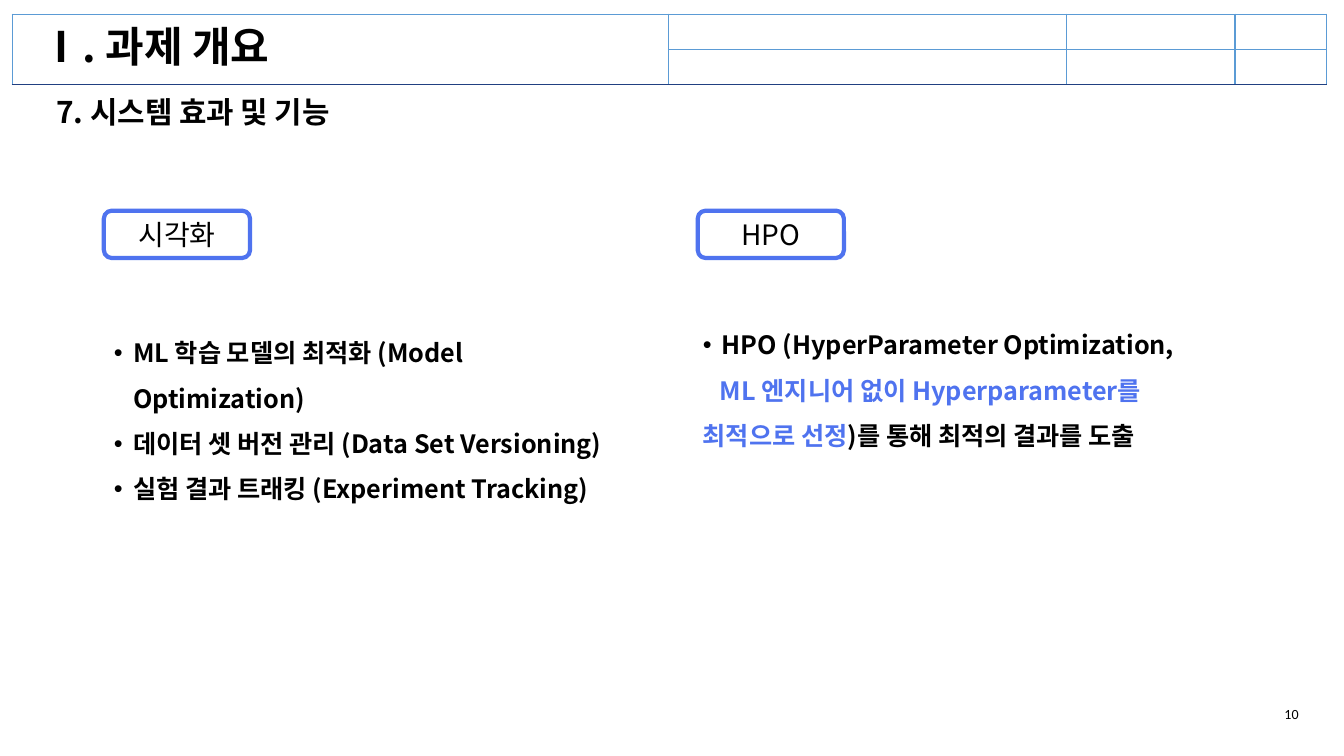
import pptx
import pptx.util
import pptx.dml.color
import pptx.enum.shapes
import pptx.enum.text
import pptx.oxml
import pptx.oxml.ns
import lxml.etree

Inches = pptx.util.Inches
Pt = pptx.util.Pt
PP = pptx.enum.text.PP_ALIGN
ANCHOR = pptx.enum.text.MSO_ANCHOR
qn = pptx.oxml.ns.qn
sub = lxml.etree.SubElement
SANS = "Noto Sans CJK KR"
BLACK, BLUE, WHITE = "000000", "4F73EF", "FFFFFF"


def color(code):
    return pptx.dml.color.RGBColor.from_string(code)


def write(para, text, size, bold=False, code=BLACK, face=SANS):
    run = para.add_run()
    run.text = text
    font = run.font
    font.size, font.bold, font.name = Pt(size), bold, face
    font.color.rgb = color(code)
    sub(font._element, qn("a:ea"), typeface=face)


deck = pptx.Presentation()
deck.slide_width, deck.slide_height = Inches(13.33), Inches(7.5)
slide = deck.slides.add_slide(deck.slide_layouts[3])
shapes = slide.shapes
title, left, right = slide.placeholders

frame = shapes.add_table(2, 4, Inches(0.12), Inches(0.14), Inches(13.04), Inches(0.7))
grid = frame.table
grid.first_row = grid.horz_banding = False
for col, width in zip(grid.columns, (6.51, 3.95, 1.67, 0.91)):
    col.width = Inches(width)
for row in grid.rows:
    row.height = Inches(0.35)
grid.cell(0, 0).merge(grid.cell(1, 0))
for r in range(2):
    for c in range(4):
        cell = grid.cell(r, c)
        cell.margin_top = cell.margin_bottom = 0
        props = cell._tc.get_or_add_tcPr()
        for side in ("lnL", "lnR", "lnT", "lnB"):
            base = side == "lnB" and (r == 1 or c == 0)
            line = sub(props, qn("a:" + side), w=str(Pt(1)))
            fill = sub(line, qn("a:solidFill"))
            sub(fill, qn("a:srgbClr"), val="214081" if base else "5B9BD5")
        cell.fill.background()
shapes._spTree.remove(frame._element)
shapes._spTree.insert(2, frame._element)

page = shapes.add_textbox(Inches(12.69), Inches(6.95), Inches(0.27), Inches(0.27))
head = shapes.add_textbox(Inches(0.51), Inches(0.89), Inches(11.16), Inches(0.47))
places = (
    (title, 0.35, 0.21, 6.48, 0.56),
    (left, 1.08, 3.15, 5.19, 1.39),
    (right, 6.92, 3.07, 5.19, 1.37),
)
for shape, x, y, w, h in places:
    shape.left, shape.top = Inches(x), Inches(y)
    shape.width, shape.height = Inches(w), Inches(h)
for shape in (title, left, right, page, head):
    text = shape.text_frame
    text.margin_left = text.margin_right = Inches(0.05)
    text.margin_top = text.margin_bottom = Inches(0.05)
    text.word_wrap = shape is not page
    text.auto_size = pptx.enum.text.MSO_AUTO_SIZE.NONE
    text.vertical_anchor = ANCHOR.MIDDLE if shape in (title, head) else ANCHOR.TOP

write(page.text_frame.paragraphs[0], "10", 10, face="Calibri")
for shape, words, size in ((title, "Ⅰ. 과제 개요", 30), (head, "7. 시스템 효과 및 기능", 21.3)):
    para = shape.text_frame.paragraphs[0]
    para.alignment = PP.LEFT
    para.line_spacing = 0.9
    write(para, words, size, True)

for x, label in ((1.03, "시각화"), (6.92, "HPO")):
    box = shapes.add_shape(
        pptx.enum.shapes.MSO_SHAPE.ROUNDED_RECTANGLE,
        Inches(x), Inches(2.09), Inches(1.45), Inches(0.47),
    )
    box.shadow.inherit = False
    box.fill.solid()
    box.fill.fore_color.rgb = color(WHITE)
    box.line.color.rgb = color(BLUE)
    box.line.width = Pt(3)
    text = box.text_frame
    text.margin_top = text.margin_bottom = 0
    text.vertical_anchor = ANCHOR.MIDDLE
    para = text.paragraphs[0]
    para.alignment = PP.CENTER
    write(para, label, 20)

lists = (
    (left, (
        "ML 학습 모델의 최적화 (Model Optimization)",
        "데이터 셋 버전 관리 (Data Set Versioning)",
        "실험 결과 트래킹 (Experiment Tracking)",
    )),
    (right, ("HPO (HyperParameter Optimization,",)),
)
for shape, items in lists:
    text = shape.text_frame
    for i, item in enumerate(items):
        para = text.paragraphs[0] if i == 0 else text.add_paragraph()
        para.line_spacing = 1.5
        para.space_before = Pt(0)
        props = para._p.get_or_add_pPr()
        props.set("marL", str(Inches(0.19)))
        props.set("indent", str(Inches(-0.19)))
        sub(props, qn("a:buFont"), typeface="Arial")
        sub(props, qn("a:buChar"), char="•")
        write(para, item, 18, True)

para = right.text_frame.add_paragraph()
para.line_spacing = 1.5
para.space_before = Pt(0)
props = para._p.get_or_add_pPr()
props.set("marL", "0")
props.set("indent", str(Inches(0.17)))
sub(props, qn("a:buNone"))
write(para, "ML 엔지니어 없이 Hyperparameter를", 18, True, BLUE)
para.add_line_break()
write(para, "최적으로 선정", 18, True, BLUE)
write(para, ")를 통해 최적의 결과를 도출", 18, True)

deck.save("out.pptx")
